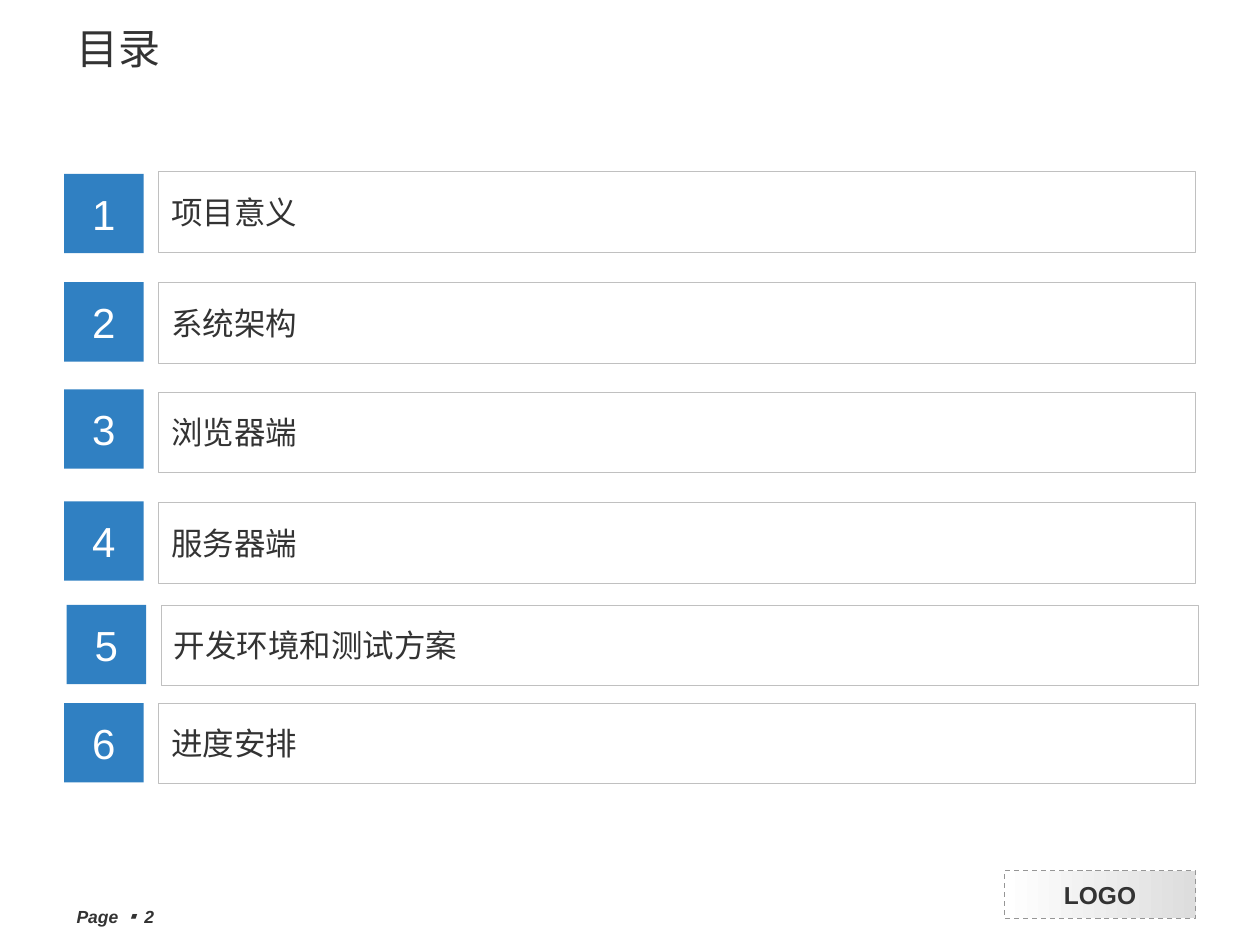
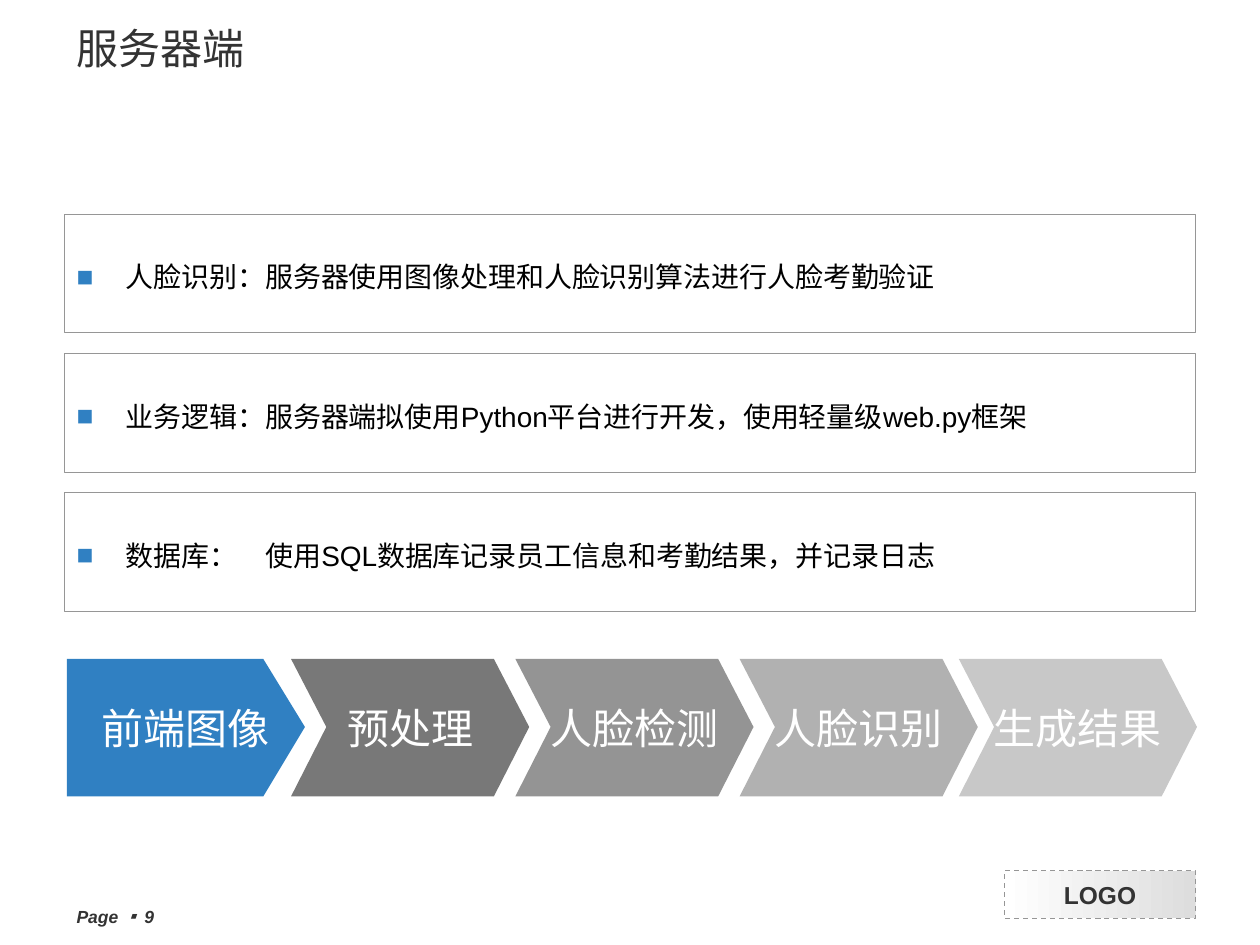
"""Builds the agenda slide and the server-side slide of an attendance project."""
from lxml.etree import SubElement
from pptx import Presentation
from pptx.dml.color import RGBColor
from pptx.enum.dml import MSO_LINE
from pptx.enum.shapes import MSO_SHAPE
from pptx.enum.text import MSO_ANCHOR, MSO_AUTO_SIZE, PP_ALIGN
from pptx.oxml.ns import qn
from pptx.util import Inches, Pt

COLORS = {
    "ink": "333333", "black": "000000", "white": "FFFFFF", "blue": "3080C2",
    "rule": "C0C0C0", "frame": "969696", "shade": "DDDDDD",
    "gray1": "787878", "gray2": "949494", "gray3": "B1B1B1", "gray4": "C8C8C8",
}
LATIN, CJK, SYMBOL = "Arial", "Noto Sans CJK SC", "Noto Sans CJK JP"
LEFT = 0.51

AGENDA_TITLE = "目录"
AGENDA = [
    ("项目意义", 1.36, 1.38, 0),
    ("系统架构", 2.24, 2.24, 0),
    ("浏览器端", 3.11, 3.09, 0),
    ("服务器端", 3.99, 3.98, 0),
    ("开发环境和测试方案", 4.8, 4.8, 0.02),
    ("进度安排", 5.58, 5.58, 0),
]

SERVER_TITLE = "服务器端"
SERVER_POINTS = [
    "人脸识别：服务器使用图像处理和人脸识别算法进行人脸考勤验证",
    "业务逻辑：服务器端拟使用Python平台进行开发，使用轻量级web.py框架",
    "数据库：　使用SQL数据库记录员工信息和考勤结果，并记录日志",
]
PIPELINE = [
    ("前端图像", 0.53, "blue"),
    ("预处理", 2.31, "gray1"),
    ("人脸检测", 4.09, "gray2"),
    ("人脸识别", 5.87, "gray3"),
    ("生成结果", 7.61, "gray4"),
]


def rgb(name):
    return RGBColor.from_string(COLORS[name])


def add_run(paragraph, text, size, color, latin=LATIN, asian=CJK, bold=False, italic=False):
    run = paragraph.add_run()
    run.text = text
    font = run.font
    font.size, font.name, font.bold, font.italic = Pt(size), latin, bold, italic
    font.color.rgb = rgb(color)
    SubElement(font._element, qn("a:ea")).set("typeface", asian)


def paragraph_in(shape, align=PP_ALIGN.LEFT, wrap=True):
    frame = shape.text_frame
    frame.word_wrap = wrap
    frame.auto_size = MSO_AUTO_SIZE.NONE
    frame.vertical_anchor = MSO_ANCHOR.MIDDLE
    paragraph = frame.paragraphs[0]
    paragraph.alignment = align
    return paragraph


def add_block(slide, kind, left, top, width, height):
    block = slide.shapes.add_shape(kind, *map(Inches, (left, top, width, height)))
    block.shadow.inherit = False
    return block


def fill_solid(shape, color):
    shape.fill.solid()
    shape.fill.fore_color.rgb = rgb(color)
    shape.line.fill.background()


def add_frame(slide, left, top, width, height, color):
    frame = add_block(slide, MSO_SHAPE.ROUNDED_RECTANGLE, left, top, width, height)
    frame.adjustments[0] = 0
    frame.fill.background()
    frame.line.color.rgb = rgb(color)
    frame.line.width = Pt(0.25)
    return paragraph_in(frame)


def add_logo_box(slide):
    logo = add_block(slide, MSO_SHAPE.RECTANGLE, 7.97, 6.91, 1.52, 0.38)
    logo.fill.gradient()
    logo.fill.gradient_angle = 180
    for stop, color in zip(logo.fill.gradient_stops, ("shade", "white")):
        stop.color.rgb = rgb(color)
    logo.line.color.rgb = rgb("frame")
    logo.line.width = Pt(0.75)
    logo.line.dash_style = MSO_LINE.DASH
    add_run(paragraph_in(logo, PP_ALIGN.CENTER, False), "LOGO", 14, "ink", bold=True)


def add_page_number(slide, number):
    footer = slide.shapes.add_textbox(*map(Inches, (LEFT, 7.14, 1.57, 0.22)))
    paragraph = paragraph_in(footer)
    footer.text_frame.vertical_anchor = MSO_ANCHOR.TOP
    for text, face in (("Page ", LATIN), ("▪ ", SYMBOL), (str(number), LATIN)):
        add_run(paragraph, text, 10, "ink", face, SYMBOL, bold=True, italic=True)


def start_slide(deck, title_text, number):
    slide = deck.slides.add_slide(deck.slide_layouts[5])
    add_logo_box(slide)
    add_page_number(slide, number)
    title = slide.shapes.title
    title.left, title.top, title.width, title.height = map(Inches, (LEFT, 0, 6.38, 0.76))
    add_run(paragraph_in(title), title_text, 24, "ink")
    return slide


def add_agenda_row(slide, number, topic, box_top, badge_top, shift):
    topic_line = add_frame(slide, 1.26 + shift, box_top, 8.23, 0.64, "rule")
    add_run(topic_line, topic, 18, "ink", CJK)
    badge = add_block(slide, MSO_SHAPE.RECTANGLE, LEFT + shift, badge_top, 0.63, 0.63)
    fill_solid(badge, "blue")
    add_run(paragraph_in(badge, PP_ALIGN.CENTER, False), str(number), 24, "white")


def add_server_point(slide, index, text):
    paragraph = add_frame(slide, LEFT, 1.7 + index * 1.105, 8.98, 0.94, "frame")
    paragraph.line_spacing = 1.2
    paragraph.space_before = Pt(10)
    properties = paragraph._p.get_or_add_pPr()
    properties.set("marL", str(Inches(0.39)))
    properties.set("indent", str(-Inches(0.39)))
    bullet_color = SubElement(properties, qn("a:buClr"))
    SubElement(bullet_color, qn("a:srgbClr")).set("val", COLORS["blue"])
    SubElement(properties, qn("a:buFont")).set("typeface", LATIN)
    SubElement(properties, qn("a:buChar")).set("char", "■")
    add_run(paragraph, text, 16, "black")


def add_step(slide, label, left, color, is_first):
    top, middle, bottom = 5.23, 5.77, 6.32
    tip = left + 1.89
    shoulder = tip - (0.33 if is_first else 0.28)
    outline = [(shoulder, top), (tip, middle), (shoulder, bottom), (left, bottom)]
    if not is_first:
        outline.append((left + 0.28, middle))
    builder = slide.shapes.build_freeform(Inches(left), Inches(top))
    builder.add_line_segments([(Inches(x), Inches(y)) for x, y in outline], close=True)
    step = builder.convert_to_shape()
    step.shadow.inherit = False
    fill_solid(step, color)
    add_run(paragraph_in(step, PP_ALIGN.CENTER, False), label, 24, "white")


def main():
    deck = Presentation()
    deck.slide_width, deck.slide_height = Inches(10), Inches(7.5)

    agenda = start_slide(deck, AGENDA_TITLE, 2)
    for number, row in enumerate(AGENDA, 1):
        add_agenda_row(agenda, number, *row)

    server = start_slide(deck, SERVER_TITLE, 9)
    for index, text in enumerate(SERVER_POINTS):
        add_server_point(server, index, text)
    for index, step in enumerate(PIPELINE):
        add_step(server, *step, is_first=index == 0)

    deck.save("out.pptx")


if __name__ == "__main__":
    main()
